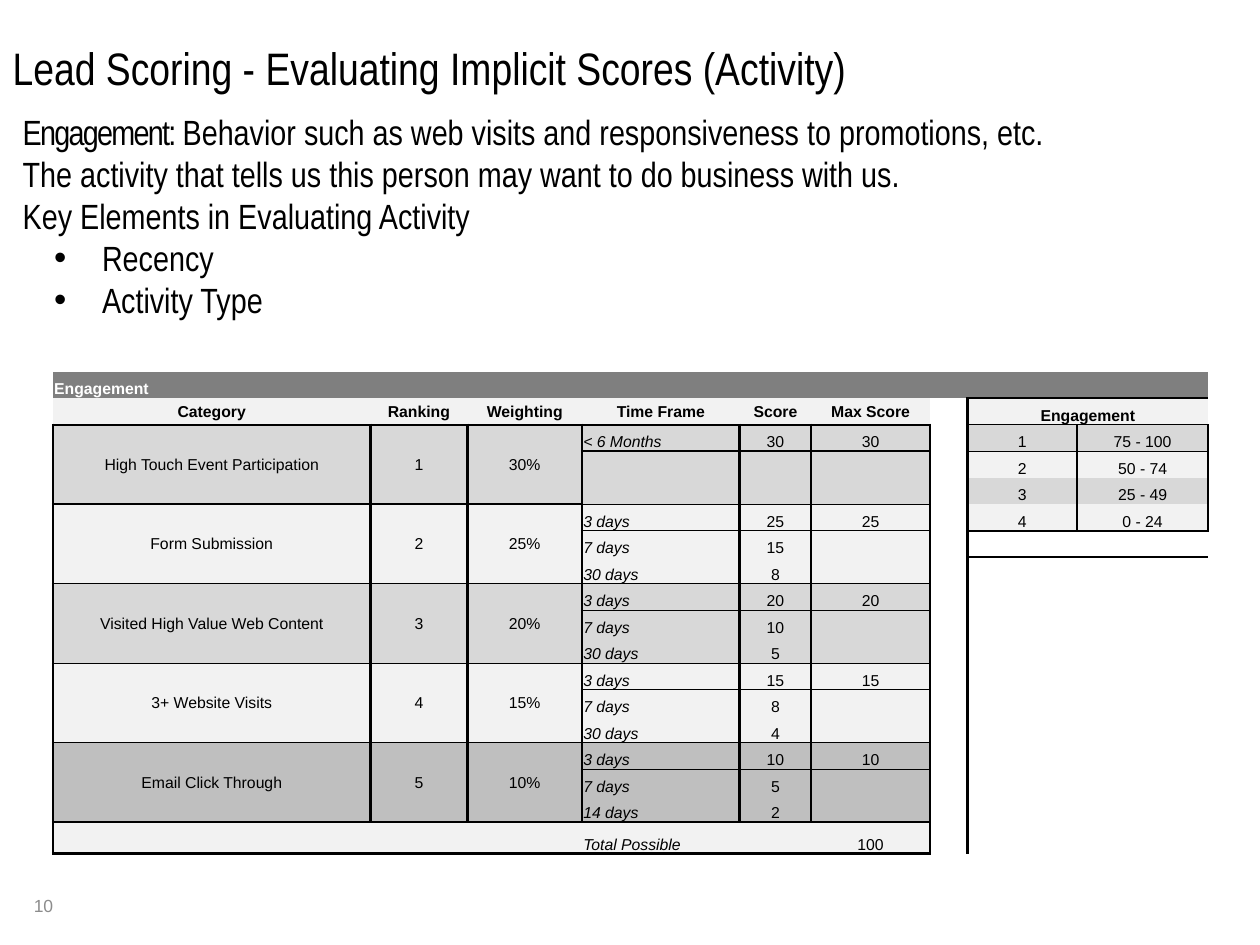
from collections import defaultdict

from lxml import etree
from pptx import Presentation
from pptx.dml.color import RGBColor
from pptx.enum.text import MSO_ANCHOR, MSO_AUTO_SIZE, PP_ALIGN
from pptx.oxml.ns import qn
from pptx.util import Inches, Pt

LEFT, CENTER = PP_ALIGN.LEFT, PP_ALIGN.CENTER
TOP, MIDDLE, BOTTOM = MSO_ANCHOR.TOP, MSO_ANCHOR.MIDDLE, MSO_ANCHOR.BOTTOM
NO_AUTOFIT = MSO_AUTO_SIZE.NONE

BLACK = RGBColor(0x00, 0x00, 0x00)
WHITE = RGBColor(0xFF, 0xFF, 0xFF)
BANNER_GRAY = RGBColor(0x7F, 0x7F, 0x7F)
NUMBER_GRAY = RGBColor(0x8C, 0x8C, 0x8C)
PALE = RGBColor(0xF2, 0xF2, 0xF2)
LIGHT = RGBColor(0xD8, 0xD8, 0xD8)
MEDIUM = RGBColor(0xBF, 0xBF, 0xBF)

NO_STYLE_NO_GRID = "{2D5ABB26-0587-4C30-8999-92F81FD0307C}"
THICK, THIN = 1.5, 0.5
TABLE_HEIGHT, TOTAL_HEIGHT = 3.83, 0.25
COLUMN_WIDTHS = [2.52, 0.77, 0.91, 1.25, 0.57, 0.94, 0.3, 0.87, 1.04]
HEADINGS = ["Category", "Ranking", "Weighting", "Time Frame", "Score", "Max Score"]
ACTIVITIES = [
    ("High Touch Event Participation", "30%", LIGHT, [("< 6 Months", 30)]),
    ("Form Submission", "25%", PALE, [("3 days", 25), ("7 days", 15), ("30 days", 8)]),
    ("Visited High Value Web Content", "20%", LIGHT,
     [("3 days", 20), ("7 days", 10), ("30 days", 5)]),
    ("3+ Website Visits", "15%", PALE, [("3 days", 15), ("7 days", 8), ("30 days", 4)]),
    ("Email Click Through", "10%", MEDIUM, [("3 days", 10), ("7 days", 5), ("14 days", 2)]),
]
SCORE_BANDS = ["75 - 100", "50 - 74", "25 - 49", "0 - 24"]
ROWS_PER_ACTIVITY = 3
FIRST_ACTIVITY_ROW = 2
TOTAL_ROW = FIRST_ACTIVITY_ROW + ROWS_PER_ACTIVITY * len(ACTIVITIES)
LEGEND_COLUMN = 7


def write(paragraph, text, size=9, font="Arial", color=BLACK, bold=False,
          italic=False, align=LEFT, spacing=None):
    """Add a formatted run to a paragraph."""
    paragraph.alignment = align
    run = paragraph.add_run()
    run.text = text
    run.font.size, run.font.name = Pt(size), font
    run.font.bold, run.font.italic = bold, italic
    run.font.color.rgb = color
    if spacing is not None:
        run.font._element.set("spc", str(spacing))


def place(shape, left, top, width, height, anchor=TOP):
    """Position a text shape and fix its wrapping and anchor."""
    shape.left, shape.top = Inches(left), Inches(top)
    shape.width, shape.height = Inches(width), Inches(height)
    frame = shape.text_frame
    frame.word_wrap, frame.auto_size = True, NO_AUTOFIT
    frame.vertical_anchor = anchor
    return frame


def set_bullet(paragraph, bullet=None, margin=0, hanging=0):
    """Set the indent and bullet character of a paragraph."""
    properties = paragraph._p.get_or_add_pPr()
    properties.set("marL", str(Inches(margin)))
    properties.set("indent", str(-Inches(hanging)))
    if bullet:
        etree.SubElement(properties, qn("a:buFont"), typeface="Arial")
        etree.SubElement(properties, qn("a:buChar"), char=bullet)
    else:
        etree.SubElement(properties, qn("a:buNone"))


def add_explanation(body):
    """Fill the body with the definition and the key elements."""
    frame = place(body, 0.08, 0.83, 9.83, 2.12)
    lines = [
        ("Behavior such as web visits and responsiveness to promotions, etc.", 0),
        ("The activity that tells us this person may want to do business with us.", 0),
        ("Key Elements in Evaluating Activity", 0),
        ("Recency", 1),
        ("Activity Type", 1),
    ]
    for index, (line, level) in enumerate(lines):
        paragraph = frame.add_paragraph() if index else frame.paragraphs[0]
        paragraph.level = level
        paragraph.space_before = paragraph.space_after = Pt(0)
        if level:
            set_bullet(paragraph, "•", 0.63, 0.38)
        else:
            set_bullet(paragraph)
        if index == 0:
            write(paragraph, "Engagement: ", size=20, font="Arial Narrow", spacing=-100)
        write(paragraph, line, size=20, font="Arial Narrow")


def create_table(slide):
    """Add the unstyled table with its column widths and row heights."""
    table = slide.shapes.add_table(
        TOTAL_ROW + 1, len(COLUMN_WIDTHS), Inches(0.42), Inches(2.95),
        Inches(sum(COLUMN_WIDTHS)), Inches(TABLE_HEIGHT)).table
    table.first_row = table.horz_banding = False
    table._tbl.tblPr.find(qn("a:tableStyleId")).text = NO_STYLE_NO_GRID
    for column, width in zip(table.columns, COLUMN_WIDTHS):
        column.width = Inches(width)
    for row in table.rows:
        row.height = Inches((TABLE_HEIGHT - TOTAL_HEIGHT) / TOTAL_ROW)
    table.rows[TOTAL_ROW].height = Inches(TOTAL_HEIGHT)
    for cell in table.iter_cells():
        cell.margin_left = cell.margin_right = cell.margin_top = Inches(0.01)
        cell.margin_bottom = 0
        cell.vertical_anchor = BOTTOM
        cell.fill.background()
    return table


def fill_block(table, rows, columns, color):
    """Fill a block of cells with one colour."""
    for row in rows:
        for column in columns:
            fill = table.cell(row, column).fill
            fill.solid()
            fill.fore_color.rgb = color


def put(table, row, column, text, anchor=BOTTOM, align=CENTER, **style):
    """Write a value into a table cell."""
    cell = table.cell(row, column)
    cell.vertical_anchor = anchor
    write(cell.text_frame.paragraphs[0], str(text), align=align, **style)


def outline(borders, rows, columns, top=THICK, bottom=THICK):
    """Record the border around a block, on both sides of each edge."""
    for row in rows:
        borders[row, columns[0]]["L"] = borders[row, columns[0] - 1]["R"] = THICK
        borders[row, columns[-1]]["R"] = borders[row, columns[-1] + 1]["L"] = THICK
    for column in columns:
        borders[rows[0], column]["T"] = borders[rows[0] - 1, column]["B"] = top
        borders[rows[-1], column]["B"] = borders[rows[-1] + 1, column]["T"] = bottom


def draw_borders(table, borders):
    """Write the recorded borders into the cells."""
    for (row, column), sides in borders.items():
        if not (0 <= row < len(table.rows) and 0 <= column < len(table.columns)):
            continue
        properties = table.cell(row, column)._tc.get_or_add_tcPr()
        ordered = [side for side in "LRTB" if side in sides]
        for position, side in enumerate(ordered):
            line = etree.Element(qn(f"a:ln{side}"), w=str(Pt(sides[side])))
            solid = etree.SubElement(line, qn("a:solidFill"))
            etree.SubElement(solid, qn("a:srgbClr"), val=str(BLACK))
            properties.insert(position, line)


def add_activities(table, borders):
    """Fill in the activity groups and the total."""
    score_columns = range(len(HEADINGS))
    fill_block(table, [1], score_columns, PALE)
    for column, heading in enumerate(HEADINGS):
        put(table, 1, column, heading, anchor=MIDDLE, bold=True)
    for index, (category, weighting, color, scores) in enumerate(ACTIVITIES):
        first = FIRST_ACTIVITY_ROW + index * ROWS_PER_ACTIVITY
        rows = range(first, first + ROWS_PER_ACTIVITY)
        fill_block(table, rows, score_columns, color)
        for column in score_columns:
            outline(borders, rows, [column], top=THIN if index else THICK,
                    bottom=THICK if index == len(ACTIVITIES) - 1 else THIN)
        for column, value in enumerate([category, index + 1, weighting]):
            table.cell(first, column).merge(table.cell(rows[-1], column))
            put(table, first, column, value, anchor=MIDDLE)
        for row, (time_frame, score) in zip(rows, scores):
            put(table, row, 3, time_frame, align=LEFT, italic=True)
            put(table, row, 4, score)
        put(table, first, 5, scores[0][1])
    fill_block(table, [TOTAL_ROW], score_columns, PALE)
    outline(borders, [TOTAL_ROW], score_columns)
    put(table, TOTAL_ROW, 3, "Total Possible", align=LEFT, italic=True)
    put(table, TOTAL_ROW, 5, sum(scores[0][1] for *_, scores in ACTIVITIES))


def add_legend(table, borders):
    """Fill in the engagement bands on the right."""
    columns = range(LEGEND_COLUMN, LEGEND_COLUMN + 2)
    rows = range(2, 2 + len(SCORE_BANDS))
    fill_block(table, [1], columns, PALE)
    table.cell(1, columns[0]).merge(table.cell(1, columns[1]))
    put(table, 1, columns[0], "Engagement", bold=True)
    for rank, (row, band) in enumerate(zip(rows, SCORE_BANDS), 1):
        fill_block(table, [row], columns, LIGHT if rank % 2 else PALE)
        put(table, row, columns[0], rank)
        put(table, row, columns[1], band)
    outline(borders, [1], columns, bottom=THIN)
    outline(borders, rows, columns, top=THIN)


def add_scoring_table(slide):
    """Build the engagement scoring table."""
    table = create_table(slide)
    borders = defaultdict(dict)
    fill_block(table, [0], range(len(COLUMN_WIDTHS)), BANNER_GRAY)
    table.cell(0, 0).merge(table.cell(0, len(COLUMN_WIDTHS) - 1))
    put(table, 0, 0, "Engagement", align=LEFT, color=WHITE, bold=True)
    add_activities(table, borders)
    add_legend(table, borders)
    draw_borders(table, borders)
    for cell in table.iter_cells():
        if not cell.text_frame.text:
            etree.SubElement(cell.text_frame.paragraphs[0]._p, qn("a:endParaRPr"), sz="900")


def main():
    """Build and save the slide."""
    deck = Presentation()
    deck.slide_width, deck.slide_height = Inches(10), Inches(7.5)
    slide = deck.slides.add_slide(deck.slide_layouts[1])
    title = place(slide.shapes.title, 0, 0.27, 10, 0.75)
    write(title.paragraphs[0], "Lead Scoring - Evaluating Implicit Scores (Activity)",
          size=26, font="Arial Narrow")
    add_explanation(slide.placeholders[1])
    add_scoring_table(slide)
    number = place(slide.shapes.add_textbox(0, 0, 0, 0), 0.17, 6.99, 0.54, 0.4, MIDDLE)
    write(number.paragraphs[0], "10", size=10, color=NUMBER_GRAY)
    deck.save("out.pptx")


if __name__ == "__main__":
    main()
